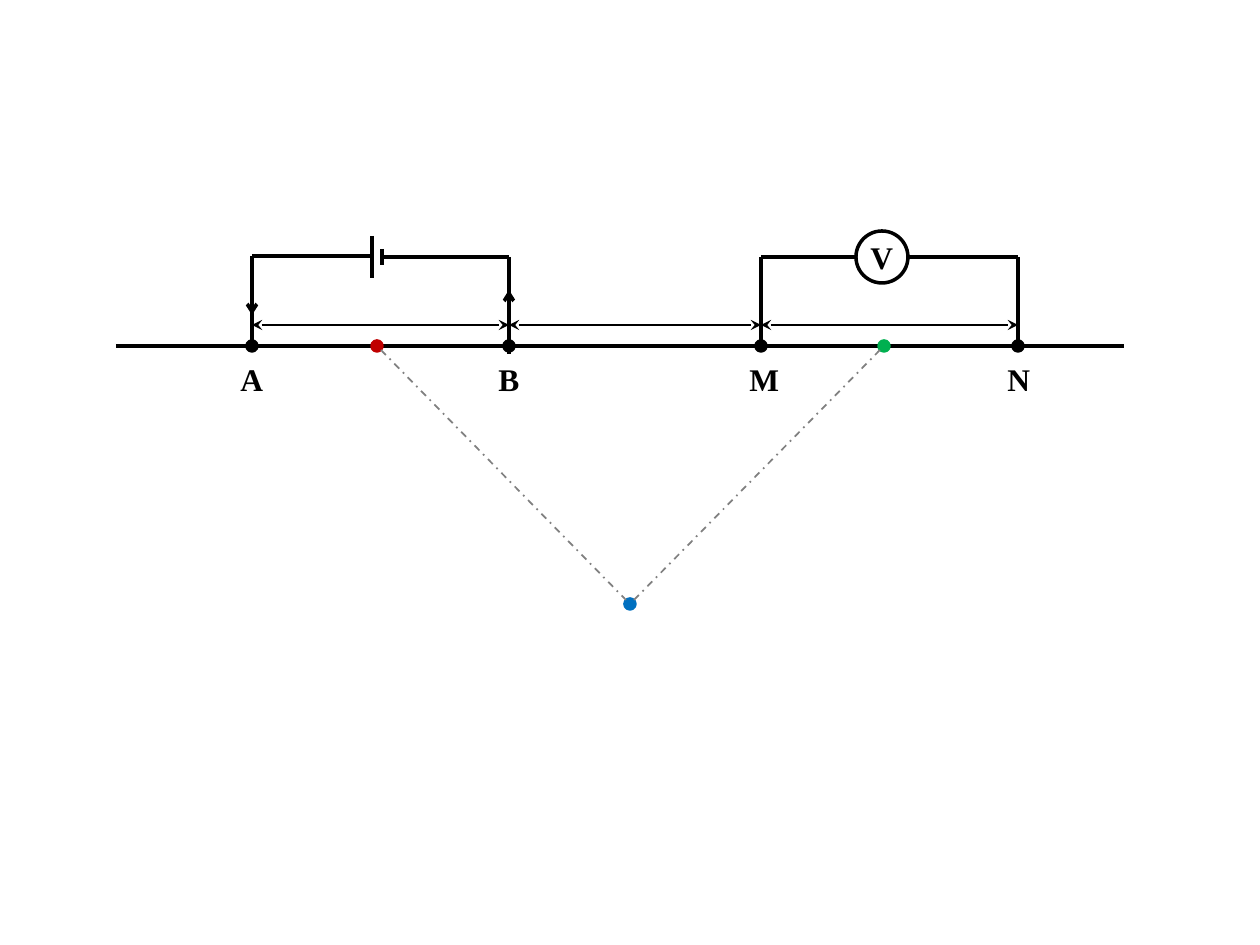
from dataclasses import dataclass

from lxml.etree import SubElement
from pptx import Presentation
from pptx.dml.color import RGBColor
from pptx.enum.dml import MSO_LINE_DASH_STYLE as Dash
from pptx.enum.shapes import MSO_CONNECTOR as Connector, MSO_SHAPE as Shape
from pptx.oxml.ns import qn
from pptx.util import Inches, Pt

PX_PER_INCH = 126


@dataclass(frozen=True)
class Theme:
    font: str = "Times New Roman"
    label_size: float = 18
    wire_width: float = 2
    spacing_width: float = 1.5
    ray_width: float = 1
    ink: str = "000000"
    source: str = "C00000"
    depth: str = "0070C0"
    receiver: str = "00B050"
    ray: str = "808080"


THEME = Theme()

# Electrode positions and the levels of the circuit
ELECTRODES = {"A": 252, "B": 509, "M": 761, "N": 1018}
GROUND_Y, SPACING_Y, WIRE_Y, LABEL_Y = 346, 325, 257, 354
SOURCE_X, DEPTH_X, RECEIVER_X, DEPTH_Y = 377, 630, 884, 604
VOLTMETER_X, VOLTMETER_RADIUS = 882, 26
DOT_RADIUS = 5
LABEL_WIDTH, LABEL_HEIGHT = 48, 50


def px(value):
    return Inches(value / PX_PER_INCH)


def add_line(group, start, end, width=THEME.wire_width, color=THEME.ink,
             dash=None, head=None, tail=None):
    line = group.shapes.add_connector(Connector.STRAIGHT, *map(px, start + end))
    line.line.width = Pt(width)
    line.line.color.rgb = RGBColor.from_string(color)
    if dash:
        line.line.dash_style = dash
    properties = line._element.spPr
    outline = properties.find(qn("a:ln"))
    for tag, arrow in (("a:headEnd", head), ("a:tailEnd", tail)):
        if arrow:
            SubElement(outline, qn(tag), type=arrow)
    SubElement(properties, qn("a:effectLst"))


def add_circle(group, x, y, radius, color=THEME.ink, filled=True):
    circle = group.shapes.add_shape(
        Shape.OVAL, px(x - radius), px(y - radius), px(2 * radius), px(2 * radius))
    circle.shadow.inherit = False
    if filled:
        circle.fill.solid()
        circle.fill.fore_color.rgb = RGBColor.from_string(color)
    else:
        circle.fill.background()
    circle.line.color.rgb = RGBColor.from_string(color)
    circle.line.width = Pt(THEME.wire_width)


def add_label(group, text, left, top):
    box = group.shapes.add_textbox(
        px(left), px(top), px(LABEL_WIDTH), px(LABEL_HEIGHT))
    box.text_frame.word_wrap = True
    span = box.text_frame.paragraphs[0].add_run()
    span.text = text
    span.font.name = THEME.font
    span.font.size = Pt(THEME.label_size)
    span.font.bold = True
    span.font.color.rgb = RGBColor.from_string(THEME.ink)


def add_current_circuit(group):
    a, b = ELECTRODES["A"], ELECTRODES["B"]
    long_plate, short_plate = 372, 382
    add_line(group, (a, WIRE_Y - 1), (a, GROUND_Y))
    add_line(group, (long_plate, WIRE_Y - 1), (a, WIRE_Y - 1))
    add_line(group, (b, WIRE_Y), (b, GROUND_Y + 8))
    add_line(group, (b, WIRE_Y), (short_plate, WIRE_Y))
    # Battery plates
    for x, half_height in ((long_plate, 21), (short_plate, 8)):
        add_line(group, (x, WIRE_Y - half_height), (x, WIRE_Y + half_height))
    # Current direction
    add_line(group, (a, 315), (a, 289), head="arrow")
    add_line(group, (b, 290), (b, 315), head="arrow")


def add_voltage_circuit(group):
    for name, side in (("M", -1), ("N", 1)):
        x = ELECTRODES[name]
        add_line(group, (x, GROUND_Y), (x, WIRE_Y))
        add_line(group, (VOLTMETER_X + side * VOLTMETER_RADIUS, WIRE_Y), (x, WIRE_Y))
    add_circle(group, VOLTMETER_X, WIRE_Y, VOLTMETER_RADIUS, filled=False)
    add_label(group, "V", 858, 232)


def add_electrodes(group):
    label_lefts = {"A": 228, "B": 486, "M": 737, "N": 995}
    for name, x in ELECTRODES.items():
        add_circle(group, x, GROUND_Y, DOT_RADIUS)
        add_label(group, name, label_lefts[name], LABEL_Y)
    # Spacing between neighbours
    positions = list(ELECTRODES.values())
    for left, right in zip(positions, positions[1:]):
        add_line(group, (left, SPACING_Y), (right, SPACING_Y),
                 THEME.spacing_width, head="stealth", tail="stealth")


def add_depth_point(group):
    for x, y, color in ((SOURCE_X, GROUND_Y, THEME.source),
                        (DEPTH_X, DEPTH_Y, THEME.depth),
                        (RECEIVER_X, GROUND_Y, THEME.receiver)):
        add_circle(group, x, y, DOT_RADIUS, color)
    # Rays run between the edges of the dots
    edge = 4
    for x, side in ((SOURCE_X, 1), (RECEIVER_X, -1)):
        add_line(group, (x + side * edge, GROUND_Y + edge),
                 (DEPTH_X - side * edge, DEPTH_Y - edge),
                 THEME.ray_width, THEME.ray, Dash.DASH_DOT)


def main():
    deck = Presentation()
    deck.slide_width, deck.slide_height = px(1260), px(945)
    page = deck.slides.add_slide(deck.slide_layouts[6])
    group = page.shapes.add_group_shape()
    # Ground surface
    add_line(group, (116, GROUND_Y), (1124, GROUND_Y))
    add_current_circuit(group)
    add_voltage_circuit(group)
    add_electrodes(group)
    add_depth_point(group)
    deck.save("out.pptx")


if __name__ == "__main__":
    main()
